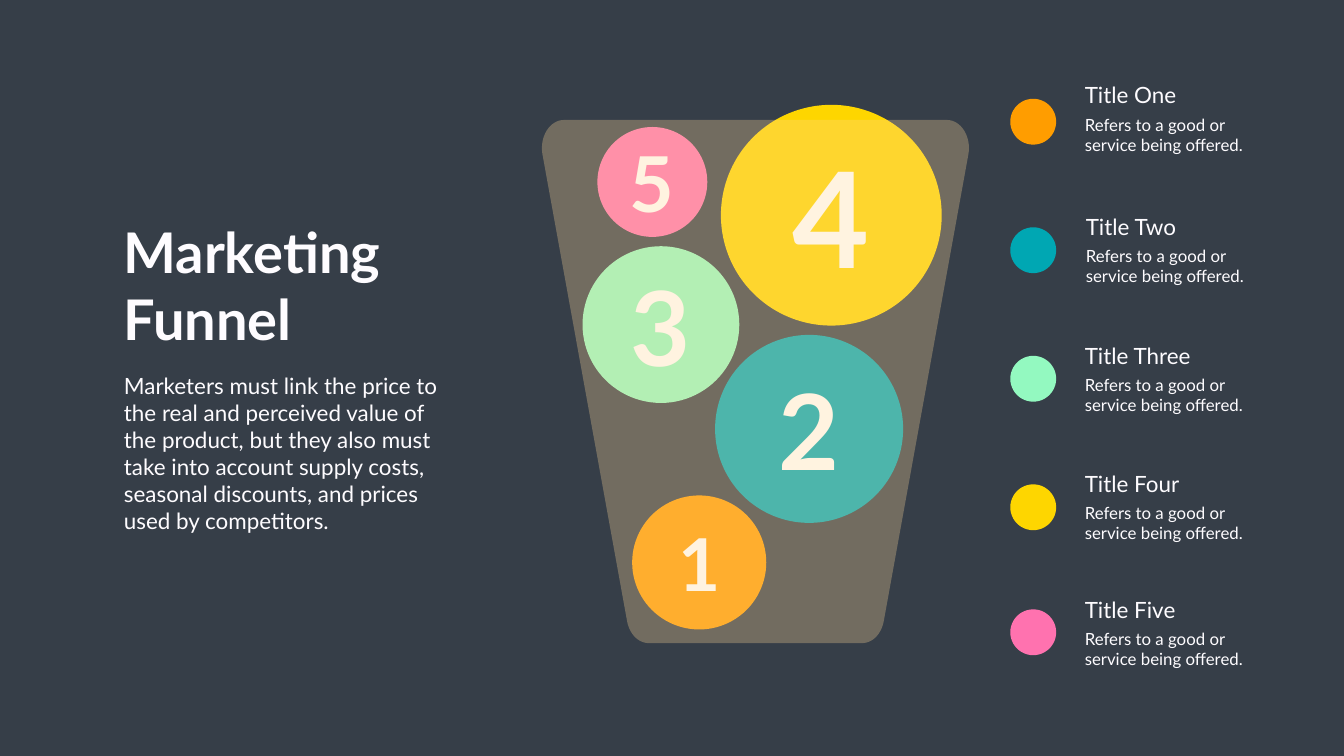
import pptx
import pptx.dml.color
import pptx.enum.shapes
import pptx.enum.text
import pptx.oxml.ns
import pptx.util
from lxml import etree

Inches = pptx.util.Inches
FONT = "Lato"
COLORS = {
    "background": "363E48",
    "text": "FEFCFF",
    "digit": "FFFFFF",
    "funnel": "FFD899",
    "orange": "FF9D00",
    "teal": "00A7B3",
    "mint": "93F9C0",
    "yellow": "FED600",
    "pink": "FF72AF",
}
BUBBLES = [
    ("1", "orange", 13.87, 11.16, 2.66, 104),
    ("2", "teal", 16.05, 8.51, 3.73, 150),
    ("3", "mint", 13.11, 6.44, 3.11, 148),
    ("5", "pink", 12.94, 3.61, 2.18, 110),
    ("4", "yellow", 16.49, 4.27, 4.38, 190),
]
LEGEND = [
    ("Title One", "orange", 1.96, 21.42, 1.56, 2.07),
    ("Title Two", "teal", 4.51, 21.44, 4.17, 2.08),
    ("Title Three", "mint", 7.06, 21.42, 6.73, 2.36),
    ("Title Four", "yellow", 9.61, 21.42, 9.27, 2.13),
    ("Title Five", "pink", 12.09, 21.42, 11.77, 2.03),
]
DESCRIPTION = ["Refers to a good or", "service being offered."]
INTRO = (
    "Marketers must link the price to the real and perceived value of the product, "
    "but they also must take into account supply costs, seasonal discounts, "
    "and prices used by competitors."
)


def rgb(name):
    return pptx.dml.color.RGBColor.from_string(COLORS[name])


def paint(shape, color):
    shape.shadow.inherit = False
    shape.fill.solid()
    shape.fill.fore_color.rgb = rgb(color)
    shape.line.fill.background()


def style(paragraph, size, color, bold=False):
    paragraph.font.name = FONT
    paragraph.font.size = pptx.util.Pt(size)
    paragraph.font.bold = bold
    paragraph.font.color.rgb = rgb(color)


def add_text(slide, lines, left, top, width, height, size, bold=False, wrap=True):
    box = slide.shapes.add_textbox(
        Inches(left), Inches(top), Inches(width), Inches(height))
    frame = box.text_frame
    frame.word_wrap = wrap
    frame.auto_size = pptx.enum.text.MSO_AUTO_SIZE.SHAPE_TO_FIT_TEXT
    frame.text = "\n".join(lines)
    for paragraph in frame.paragraphs:
        style(paragraph, size, "text", bold)


def add_circle(slide, left, top, diameter, color):
    circle = slide.shapes.add_shape(
        pptx.enum.shapes.MSO_SHAPE.OVAL,
        Inches(left), Inches(top), Inches(diameter), Inches(diameter))
    paint(circle, color)
    return circle


def add_bubble(slide, digit, color, center_x, center_y, diameter, size):
    radius = diameter / 2
    bubble = add_circle(slide, center_x - radius, center_y - radius, diameter, color)
    frame = bubble.text_frame
    frame.word_wrap = False
    frame.margin_left = frame.margin_right = 0
    frame.margin_top = frame.margin_bottom = 0
    frame.vertical_anchor = pptx.enum.text.MSO_ANCHOR.MIDDLE
    frame.text = digit
    paragraph = frame.paragraphs[0]
    paragraph.alignment = pptx.enum.text.PP_ALIGN.CENTER
    style(paragraph, size, "digit", bold=True)


def add_legend_entry(slide, title, color, dot_top, left, top, width):
    add_circle(slide, 20.04, dot_top, 0.91, color)
    add_text(slide, DESCRIPTION, left, top + 0.66, 3.39, 0.91, 24, wrap=False)
    add_text(slide, [title], left, top, width, 0.64, 32, wrap=False)


def curve(start, control_1, control_2, end, steps=16):
    points = []
    for step in range(steps + 1):
        t = step / steps
        weights = ((1 - t) ** 3, 3 * t * (1 - t) ** 2, 3 * t * t * (1 - t), t ** 3)
        corners = (start, control_1, control_2, end)
        points.append(tuple(
            sum(w * corner[axis] for w, corner in zip(weights, corners))
            for axis in (0, 1)))
    return points


def add_funnel(slide):
    axis_x = 14.985
    right = curve((18.78, 2.38), (19.07, 2.38), (19.27, 2.72), (19.21, 3.06))
    right += curve((17.53, 12.33), (17.48, 12.58), (17.31, 12.76), (17.1, 12.76))
    left = [(2 * axis_x - x, y) for x, y in reversed(right)]
    outline = [(Inches(x), Inches(y)) for x, y in right + left]
    builder = slide.shapes.build_freeform(*outline[0])
    builder.add_line_segments(outline[1:], close=True)
    funnel = builder.convert_to_shape()
    paint(funnel, "funnel")
    tint = next(funnel.fill._xPr.iter(pptx.oxml.ns.qn("a:srgbClr")))
    etree.SubElement(tint, pptx.oxml.ns.qn("a:alpha")).set("val", "30000")


def main():
    deck = pptx.Presentation()
    deck.slide_width = Inches(26.66)
    deck.slide_height = Inches(15)
    slide = deck.slides.add_slide(deck.slide_layouts[6])
    slide.background.fill.solid()
    slide.background.fill.fore_color.rgb = rgb("background")

    add_text(slide, ["Marketing Funnel"], 2.35, 4.26, 5.57, 2.79, 80, bold=True)
    add_text(slide, [INTRO], 2.36, 7.34, 6.63, 3.33, 32)
    for bubble in BUBBLES:
        add_bubble(slide, *bubble)
    for entry in LEGEND:
        add_legend_entry(slide, *entry)
    add_funnel(slide)
    deck.save("out.pptx")


if __name__ == "__main__":
    main()
